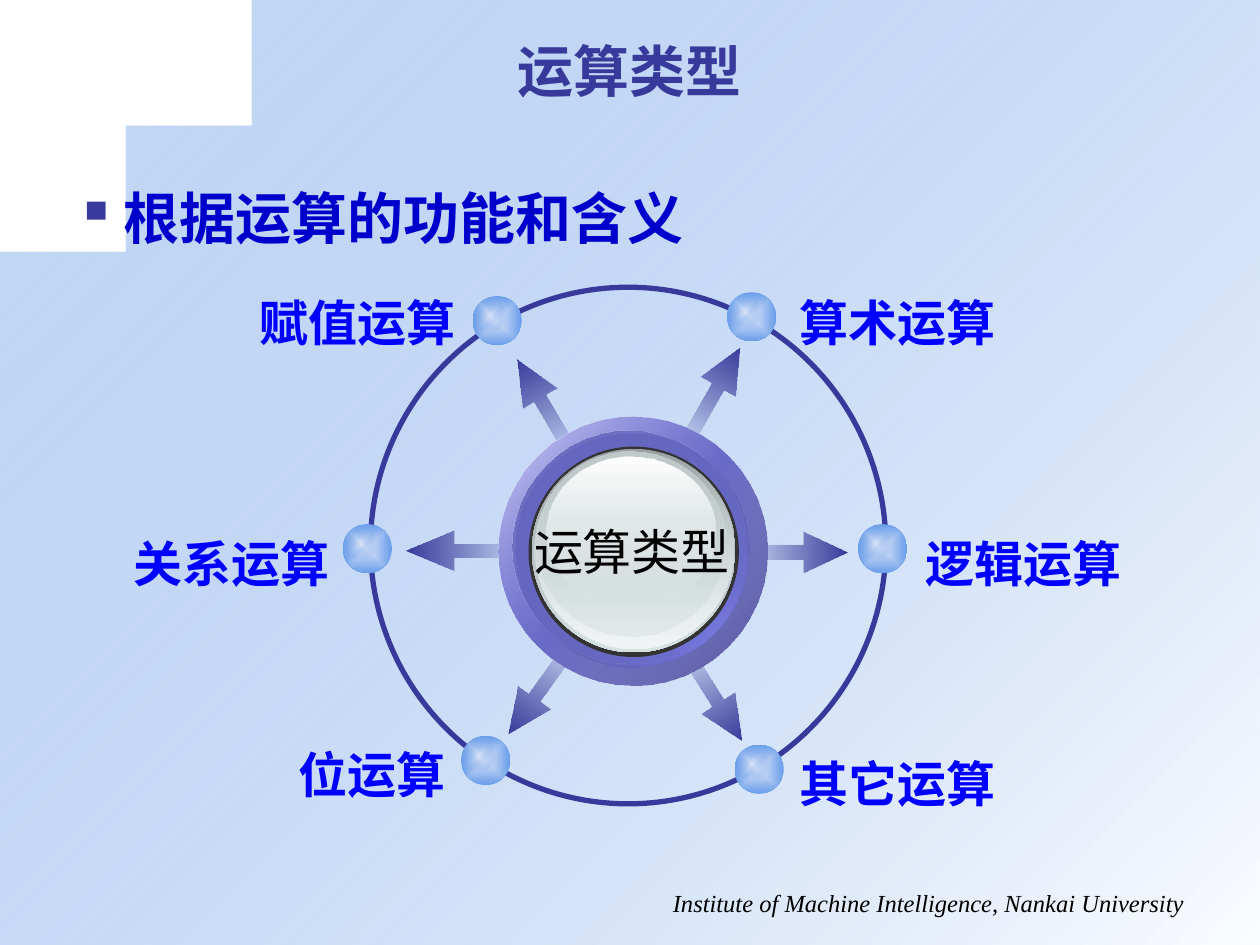
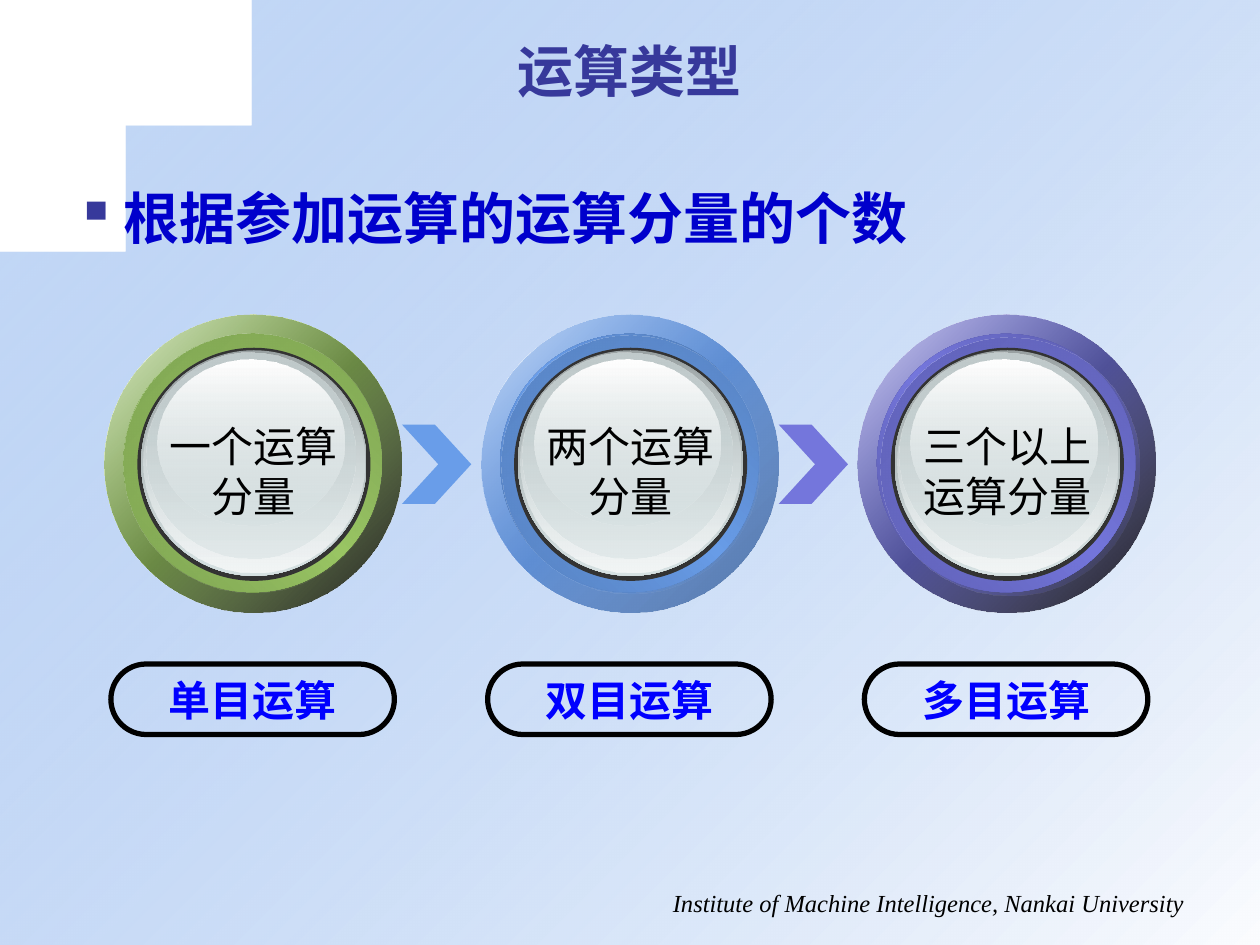
"""Build two slides on operation types: a radial diagram and a three-step sequence."""
import pptx
import pptx.dml.color
import pptx.enum.shapes
import pptx.enum.text
import pptx.oxml.ns
import pptx.util
from lxml import etree

Inches = pptx.util.Inches
RGBColor = pptx.dml.color.RGBColor
SHAPE = pptx.enum.shapes.MSO_SHAPE
ALIGN = pptx.enum.text.PP_ALIGN
ANCHOR = pptx.enum.text.MSO_ANCHOR
qn = pptx.oxml.ns.qn

INDIGO = RGBColor(0x37, 0x39, 0x9B)
ARROW_TAIL = RGBColor(0x34, 0x36, 0x93)
HEADING_BLUE = RGBColor(0x00, 0x00, 0xCC)
LABEL_BLUE = RGBColor(0x00, 0x00, 0xFF)
SKY = RGBColor(0x69, 0x9D, 0xE9)
PALE = RGBColor(0xDB, 0xE4, 0xF8)
PURPLE = RGBColor(0x74, 0x76, 0xDC)
GREEN = RGBColor(0x9A, 0xC6, 0x64)
BLACK = RGBColor(0x00, 0x00, 0x00)
WHITE = RGBColor(0xFF, 0xFF, 0xFF)
CHARCOAL = RGBColor(0x33, 0x33, 0x33)
STEEL = RGBColor(0x99, 0xA1, 0xA2)
SILVER = RGBColor(0xC1, 0xCB, 0xCC)
MIST = RGBColor(0xD6, 0xE1, 0xE2)
FROST = RGBColor(0xF2, 0xF5, 0xF5)
CJK_FONT = "Noto Sans CJK SC"

TITLE = "运算类型"
FOOTER = "Institute of Machine Intelligence, Nankai University"
SWOOSH = [
    ((2.58, 0), (1.9, 0.16), (1.16, 0.83), (0.98, 1.07)),
    ((0.98, 1.07), (0.8, 1.32), (0.16, 1.94), (0, 3.01)),
]

ARROWS = [
    (5.655, 3.14, 0.87, 299.6),
    (5.655, 5.51, 0.87, 57.8),
    (4.325, 3.23, 0.87, 239.5),
    (4.285, 5.47, 0.87, 125.6),
    (6.295, 4.38, 0.87, 0),
    (3.69, 4.37, 0.94, 180),
]
DOTS = [(3.75, 2.35), (2.72, 4.16), (3.66, 5.84), (5.77, 2.32), (6.81, 4.16), (5.83, 5.91)]
LABELS = [
    ("算术运算", 6.25, 2.27, 1.77, ALIGN.LEFT),
    ("赋值运算", 1.94, 2.27, 1.77, ALIGN.RIGHT),
    ("逻辑运算", 7.25, 4.18, 1.77, ALIGN.LEFT),
    ("其它运算", 6.25, 5.93, 1.77, ALIGN.LEFT),
    ("关系运算", 0.94, 4.18, 1.77, ALIGN.RIGHT),
    ("位运算", 2.25, 5.86, 1.38, ALIGN.RIGHT),
]

PURPLE_RING = dict(main=PURPLE, rim=RGBColor(0x59, 0x5A, 0xA8), glint=RGBColor(0x5F, 0x61, 0xB5))
GREEN_RING = dict(main=GREEN, rim=RGBColor(0x76, 0x98, 0x4D), glint=RGBColor(0x7E, 0xA3, 0x52))
BLUE_RING = dict(main=SKY, rim=RGBColor(0x50, 0x78, 0xB2), glint=RGBColor(0x56, 0x81, 0xBF))
SHADE = (100, BLACK, 90)
STEPS = [
    ("一个运算\n分量", "单目运算", GREEN_RING, SHADE, 0),
    ("两个运算\n分量", "双目运算", BLUE_RING, (100, RGBColor(0x4B, 0x70, 0xA7)), 0.01),
    ("三个以上\n运算分量", "多目运算", PURPLE_RING, SHADE, 0.03),
]
CHEVRON_COLORS = [SKY, PURPLE]
STEP_PITCH = 2.99

FACE_LAYERS = [
    (0.29, 0.28, 1.79, 1.79, [(0, STEEL), (100, MIST)]),
    (0.31, 0.29, 1.75, 1.75, [(0, MIST, 0), (100, FROST)]),
    (0.33, 0.30, 1.66, 1.63, [(0, SILVER), (100, MIST, 48)]),
    (0.42, 0.35, 1.48, 1.32, [(0, WHITE), (100, MIST, 38)]),
]
ORB_SIZE = 2.36


def place(box):
    """Turn left, top, width and height in inches into lengths."""
    return [Inches(value) for value in box]


def paint_gradient(shape, stops, angle):
    """Fill with (position, colour, opacity) stops; no angle means from the centre."""
    shape.fill.gradient()
    gradient = shape._element.spPr.find(qn("a:gradFill"))
    for child in list(gradient):
        gradient.remove(child)
    stop_list = etree.SubElement(gradient, qn("a:gsLst"))
    for position, color, *opacity in stops:
        stop = etree.SubElement(stop_list, qn("a:gs"), pos=str(position * 1000))
        tone = etree.SubElement(stop, qn("a:srgbClr"), val=str(color))
        for percent in opacity:
            etree.SubElement(tone, qn("a:alpha"), val=str(percent * 1000))
    if angle is None:
        centre = etree.SubElement(gradient, qn("a:path"), path="shape")
        etree.SubElement(centre, qn("a:fillToRect"), l="50000", t="50000", r="50000", b="50000")
    else:
        etree.SubElement(gradient, qn("a:lin"), ang=str(angle * 60000), scaled="0")


def style(shape, fill=None, angle=None, line=None):
    """Set a plain colour, gradient stops or no fill, and an optional 3 pt outline."""
    shape.shadow.inherit = False
    if fill is None:
        shape.fill.background()
    elif isinstance(fill, list):
        paint_gradient(shape, fill, angle)
    else:
        shape.fill.solid()
        shape.fill.fore_color.rgb = fill
    if line is None:
        shape.line.fill.background()
    else:
        shape.line.color.rgb = line
        shape.line.width = pptx.util.Pt(3)


def draw(page, kind, box, adjust=(), **look):
    """Add a styled preset shape."""
    shape = page.shapes.add_shape(kind, *place(box))
    for index, value in enumerate(adjust):
        shape.adjustments[index] = value
    style(shape, **look)
    return shape


def write(target, text, size=28, color=BLACK, font=CJK_FONT, bold=False, italic=False,
          align=ALIGN.CENTER, anchor=ANCHOR.MIDDLE, wrap=False, spacing=None, bullet=None):
    """Write one paragraph per line of text into a shape."""
    frame = target.text_frame
    frame.word_wrap = wrap
    frame.vertical_anchor = anchor
    for index, line in enumerate(text.split("\n")):
        para = frame.add_paragraph() if index else frame.paragraphs[0]
        para.alignment = align
        if spacing:
            para.line_spacing = pptx.util.Pt(spacing)
        if bullet:
            properties = para._p.get_or_add_pPr()
            properties.set("marL", str(Inches(0.38)))
            properties.set("indent", str(-Inches(0.38)))
            tone = etree.SubElement(properties, qn("a:buClr"))
            etree.SubElement(tone, qn("a:srgbClr"), val=str(INDIGO))
            etree.SubElement(properties, qn("a:buChar"), char=bullet)
        span = para.add_run()
        span.text = line
        span.font.size = pptx.util.Pt(size)
        span.font.bold = bold
        span.font.italic = italic
        span.font.color.rgb = color
        span.font.name = font
        etree.SubElement(span._r.get_or_add_rPr(), qn("a:ea"), typeface=CJK_FONT)


def add_text(page, text, box, **format):
    """Add a text box."""
    write(page.shapes.add_textbox(*place(box)), text, **format)


def curve_points(curve, count=24):
    """Sample a cubic curve after its start."""
    for step in range(1, count + 1):
        t = step / count
        weights = ((1 - t) ** 3, 3 * t * (1 - t) ** 2, 3 * t * t * (1 - t), t ** 3)
        yield tuple(sum(w * point[axis] for w, point in zip(weights, curve)) for axis in (0, 1))


def add_page(deck, heading):
    """Add a slide with the shared backdrop, footer, title and heading."""
    page = deck.slides.add_slide(deck.slide_layouts[6])
    outline = [point for curve in SWOOSH for point in curve_points(curve)]
    builder = page.shapes.build_freeform(*SWOOSH[0][0], scale=Inches(1))
    builder.add_line_segments(outline + [(0, 7.5), (10, 7.5), (10, 0)], close=True)
    style(builder.convert_to_shape(), fill=[(0, SKY, 39), (100, WHITE)], angle=45)
    add_text(page, FOOTER, (4.83, 7, 4.67, 0.34), size=14, font="Times New Roman",
             italic=True, align=ALIGN.RIGHT, anchor=ANCHOR.TOP, wrap=True)
    add_text(page, TITLE, (0.5, 0.25, 9, 0.62), size=32, color=INDIGO, font="Arial",
             bold=True, wrap=True)
    add_text(page, heading, (0.5, 1.42, 8.92, 0.61), size=32, color=HEADING_BLUE,
             bold=True, align=ALIGN.LEFT, wrap=True, bullet="▪")
    return page


def add_orb(page, left, top, size, ring, shade, glint_shift):
    """Draw a glossy button of stacked ellipses, scaled to size."""
    main, rim = ring["main"], ring["rim"]
    glint = 0.15 + glint_shift
    layers = [
        (0, 0, 2.36, 2.36, [(0, WHITE), (50, main), (100, WHITE)], 45),
        (0, 0, 2.36, 2.36, [(0, main, 32), shade], 45),
        (0.15, 0.15, 2.05, 2.05, [(0, rim), (50, main), (100, rim)], 315),
        (glint, glint, 2.05, 2.05, [(0, ring["glint"]), (100, main, 0)], 45),
        (0.26, 0.26, 1.85, 1.85, CHARCOAL, None),
    ] + [(*layer, 90) for layer in FACE_LAYERS]
    scale = size / ORB_SIZE
    for x, y, width, height, fill, angle in layers:
        box = (left + x * scale, top + y * scale, width * scale, height * scale)
        draw(page, SHAPE.OVAL, box, fill=fill, angle=angle)


def build_radial(deck):
    """Six kinds of operation around a central button."""
    page = add_page(deck, "根据运算的功能和含义")
    for x, y, length, turn in ARROWS:
        arrow = draw(page, SHAPE.RIGHT_ARROW, (x - length / 2, y - 0.16, length, 0.32),
                     adjust=(0.352, 1.28 * length), angle=0,
                     fill=[(0, ARROW_TAIL, 0), (100, INDIGO)])
        arrow.rotation = turn
    draw(page, SHAPE.OVAL, (2.94, 2.28, 4.09, 4.1), line=INDIGO)
    for x, y in DOTS:
        draw(page, SHAPE.OVAL, (x, y, 0.39, 0.39), fill=[(0, PALE), (100, SKY)])
        draw(page, SHAPE.OVAL, (x + 0.02, y + 0.03, 0.24, 0.25), fill=[(0, PALE), (100, SKY, 0)])
    add_orb(page, 3.96, 3.31, 2.13, PURPLE_RING, (100, RGBColor(0x53, 0x54, 0x9D)), -0.03)
    add_text(page, TITLE, (4.13, 4.09, 1.77, 0.57))
    for label, x, y, width, align in LABELS:
        add_text(page, label, (x, y, width, 0.57), color=LABEL_BLUE, font="Arial",
                 bold=True, align=align)


def build_sequence(deck):
    """Three operand counts, each with the name of its operation."""
    page = add_page(deck, "根据参加运算的运算分量的个数")
    for index, color in enumerate(CHEVRON_COLORS):
        draw(page, SHAPE.CHEVRON, (3.19 + index * STEP_PITCH, 3.37, 0.55, 0.63),
             adjust=(0.525,), fill=color)
    for index, (caption, name, ring, shade, glint_shift) in enumerate(STEPS):
        left = 0.83 + index * STEP_PITCH
        add_orb(page, left, 2.5, ORB_SIZE, ring, shade, glint_shift)
        pill = draw(page, SHAPE.ROUNDED_RECTANGLE, (left + 0.05, 5.27, 2.25, 0.56),
                    adjust=(0.5,), line=BLACK)
        write(pill, name, size=24, color=LABEL_BLUE, font="DejaVu Sans", bold=True)
        add_text(page, caption, (left + 0.41, 3.28, 1.55, 0.91), size=24, spacing=28.6)


def main():
    """Build and save the deck."""
    deck = pptx.Presentation()
    deck.slide_width, deck.slide_height = Inches(10), Inches(7.5)
    build_radial(deck)
    build_sequence(deck)
    deck.save("out.pptx")


if __name__ == "__main__":
    main()
